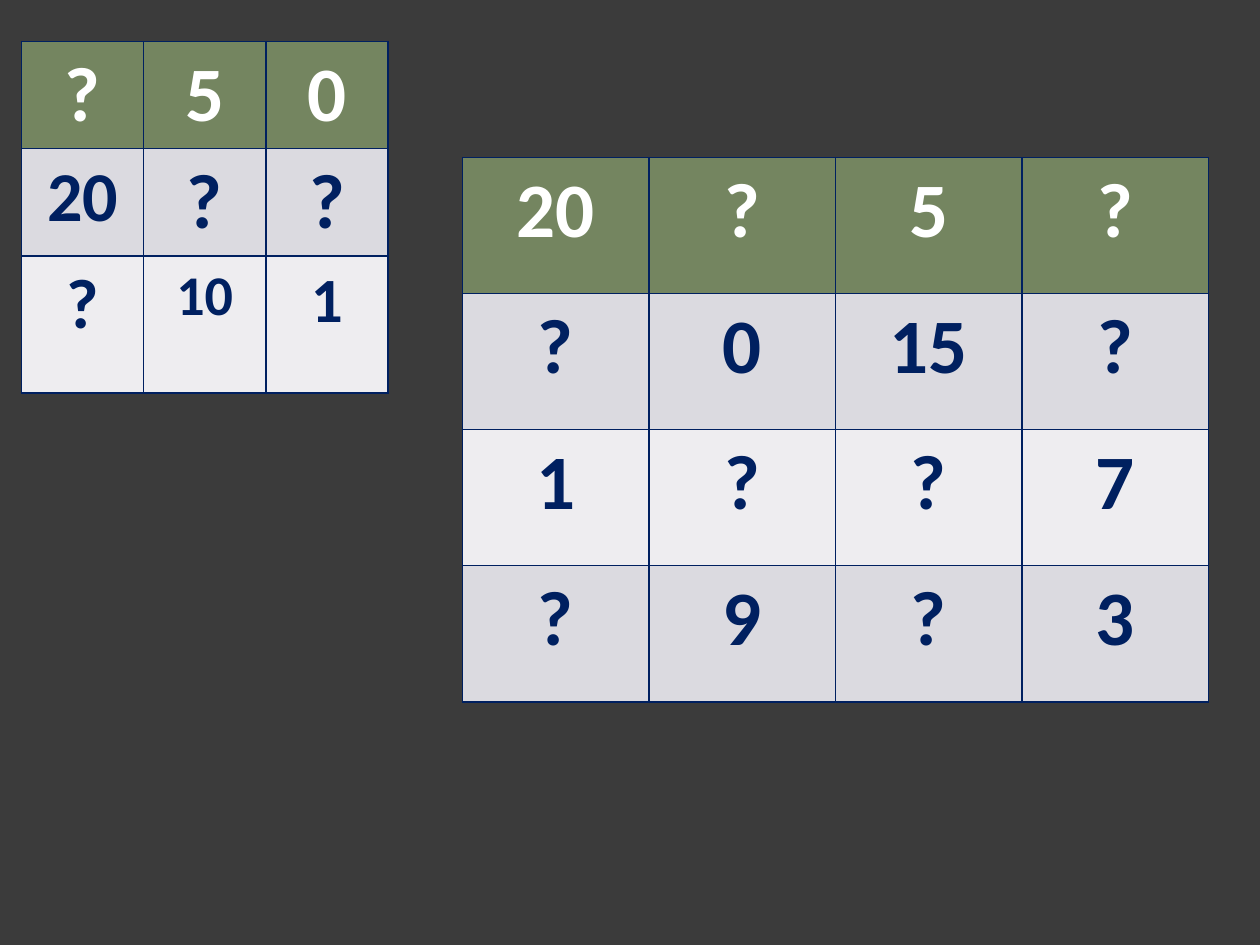
"""Build a slide with two number grids that have missing values."""
import pptx
import pptx.dml.color
import pptx.enum.text
import pptx.oxml
import pptx.oxml.ns
import pptx.util

PX = 9144
COLORS = {"bg": "3B3B3B", "head": "748560", "odd": "DBDAE0", "even": "EEEDF0",
          "navy": "002060", "white": "FFFFFF"}
RGB = {k: pptx.dml.color.RGBColor.from_string(v) for k, v in COLORS.items()}
ROW_STYLES = [("head", "white"), ("odd", "navy"), ("even", "navy"), ("odd", "navy")]
GRIDS = [
    {"x": 367, "y": 125, "col": 148, "rows": [108] * 4, "sizes": {},
     "values": ["20 ? 5 ?", "? 0 15 ?", "1 ? ? 7", "? 9 ? 3"]},
    {"x": 17, "y": 33, "col": 97, "rows": [85, 85, 109],
     "sizes": {(1, 0): 40, (2, 0): 40, (2, 1): 32, (2, 2): 36},
     "values": ["? 5 0", "20 ? ?", "? 10 1"]},
]


def add_borders(cell):
    tc_pr = cell._tc.get_or_add_tcPr()
    for i, side in enumerate(("lnL", "lnR", "lnT", "lnB")):
        tc_pr.insert(i, pptx.oxml.parse_xml(
            f'<a:{side} {pptx.oxml.ns.nsdecls("a")} w="12700"><a:solidFill>'
            f'<a:srgbClr val="{COLORS["navy"]}"/></a:solidFill></a:{side}>'))


prs = pptx.Presentation()
prs.slide_width, prs.slide_height = 1000 * PX, 750 * PX
s = prs.slides.add_slide(prs.slide_layouts[6])
s.background.fill.solid()
s.background.fill.fore_color.rgb = RGB["bg"]

for grid in GRIDS:
    values = [line.split() for line in grid["values"]]
    n_cols = len(values[0])
    frame = s.shapes.add_table(
        len(values), n_cols, grid["x"] * PX, grid["y"] * PX,
        n_cols * grid["col"] * PX, sum(grid["rows"]) * PX)
    table = frame.table
    for column in table.columns:
        column.width = grid["col"] * PX
    for i, row in enumerate(values):
        table.rows[i].height = grid["rows"][i] * PX
        fill, ink = ROW_STYLES[i]
        for j, value in enumerate(row):
            cell = table.cell(i, j)
            cell.fill.solid()
            cell.fill.fore_color.rgb = RGB[fill]
            add_borders(cell)
            p = cell.text_frame.paragraphs[0]
            p.alignment = pptx.enum.text.PP_ALIGN.CENTER
            r = p.add_run()
            r.text = value
            r.font.color.rgb = RGB[ink]
            size = pptx.util.Pt(grid["sizes"].get((i, j), 44))
            for name, setting in {"name": "Calibri", "bold": True, "size": size}.items():
                setattr(r.font, name, setting)

prs.save("out.pptx")
